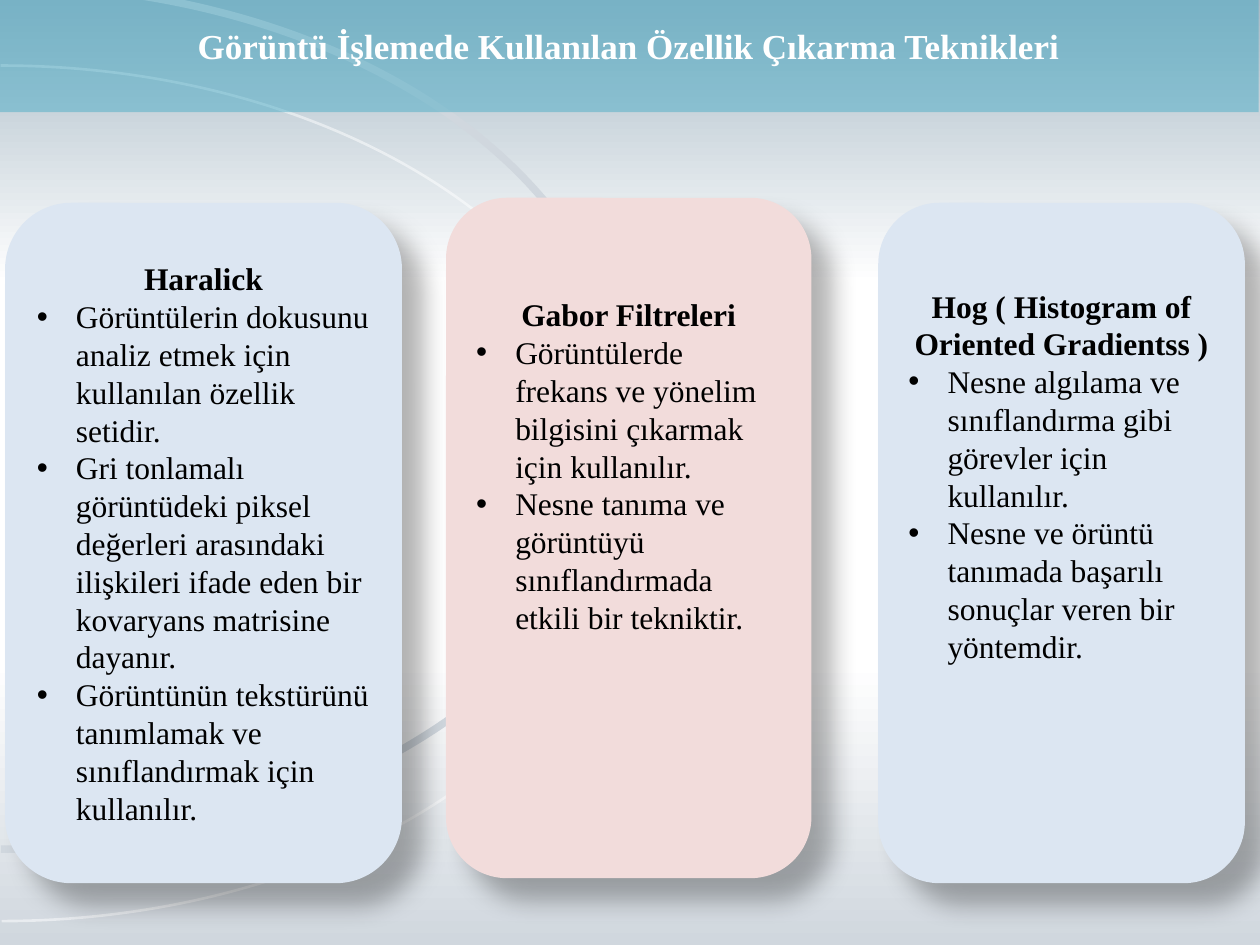
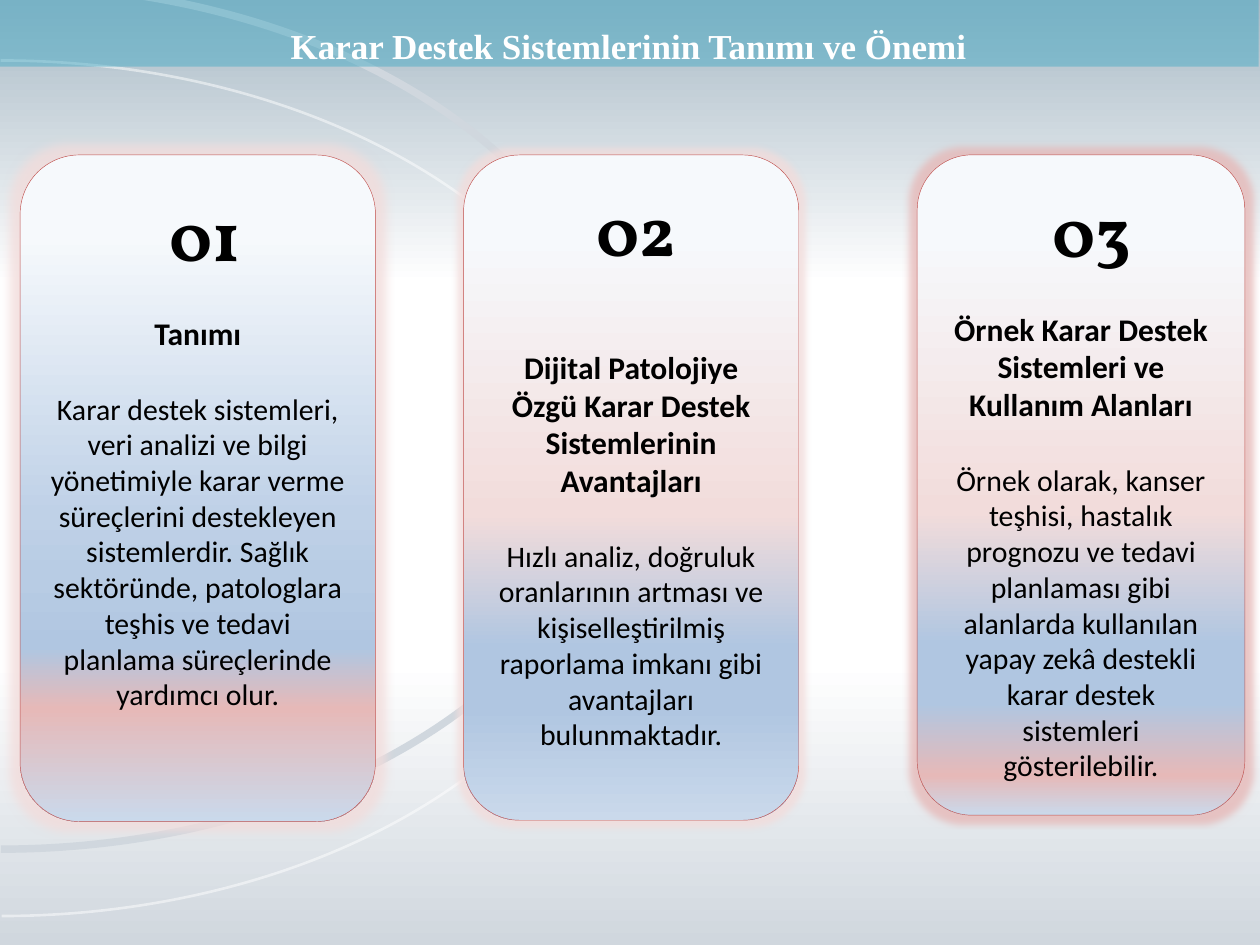
from dataclasses import dataclass

from lxml import etree
from pptx import Presentation
from pptx.dml.color import RGBColor
from pptx.enum.shapes import MSO_SHAPE
from pptx.enum.text import MSO_ANCHOR, MSO_AUTO_SIZE, PP_ALIGN
from pptx.oxml.ns import qn
from pptx.util import Inches, Pt

ARC, ROUNDED = MSO_SHAPE.ARC, MSO_SHAPE.ROUNDED_RECTANGLE
PROCESS = MSO_SHAPE.FLOWCHART_ALTERNATE_PROCESS
CENTER, LEFT = PP_ALIGN.CENTER, PP_ALIGN.LEFT
TOP, MIDDLE = MSO_ANCHOR.TOP, MSO_ANCHOR.MIDDLE
TITLE_ONLY = 5


@dataclass(frozen=True)
class Theme:
    serif: str = "Times New Roman"
    sans: str = "Calibri"
    numeral: str = "Vollkorn"
    title_size: int = 20
    heading_size: int = 18
    body_size: int = 17
    numeral_size: int = 40
    block_gap: int = 22
    white: str = "FFFFFF"
    black: str = "000000"
    band: str = "4BACC6"
    mist: str = "D0D7DE"
    slate: str = "A7B9C5"
    pale_blue: str = "DCE6F2"
    blush: str = "F2DCDB"
    frost: str = "F6F9FC"
    steel: str = "B0C6E1"
    rose: str = "E6B9B8"
    sky: str = "CAD9EB"
    outline: str = "C0504D"


THEME = Theme()
BACKDROP = [(0, THEME.mist), (30, THEME.white), (70, THEME.white), (100, THEME.slate)]

TECHNIQUES = {
    "title": "Görüntü İşlemede Kullanılan Özellik Çıkarma Teknikleri",
    "band_height": 0.91,
    "arc_top": 0.52,
    "cards": [
        dict(box=(0.04, 1.61, 3.15, 5.4), color=THEME.pale_blue, space_below=0,
             heading="Haralick",
             points=["Görüntülerin dokusunu analiz etmek için kullanılan özellik setidir.",
                     "Gri tonlamalı görüntüdeki piksel değerleri arasındaki ilişkileri "
                     "ifade eden bir kovaryans matrisine dayanır.",
                     "Görüntünün tekstürünü tanımlamak ve sınıflandırmak için kullanılır."]),
        dict(box=(3.54, 1.57, 2.9, 5.4), color=THEME.blush, space_below=1.15,
             heading="Gabor Filtreleri",
             points=["Görüntülerde frekans ve yönelim bilgisini çıkarmak için kullanılır.",
                     "Nesne tanıma ve görüntüyü sınıflandırmada etkili bir tekniktir."]),
        dict(box=(6.97, 1.61, 2.91, 5.4), color=THEME.pale_blue, space_below=1.07,
             heading="Hog ( Histogram of Oriented Gradientss )",
             points=["Nesne algılama ve sınıflandırma gibi görevler için kullanılır.",
                     "Nesne ve örüntü tanımada başarılı sonuçlar veren bir yöntemdir."]),
    ],
}

DECISION_SUPPORT = {
    "title": "Karar Destek Sistemlerinin Tanımı ve Önemi",
    "band_height": 0.55,
    "arc_top": 0.48,
    "cards": [
        dict(box=(0.16, 1.23, 2.82, 5.29), space_below=0.58, glow=(THEME.blush, 11),
             stops=[(12, THEME.frost), (54, "BFD1E7"), (63, "B8CCE4"), (74, THEME.steel),
                    (83, THEME.rose), (100, THEME.sky)],
             number="01", number_indent=0.11, gaps_above_heading=1,
             heading="Tanımı",
             body="Karar destek sistemleri, veri analizi ve bilgi yönetimiyle karar verme "
                  "süreçlerini destekleyen sistemlerdir. Sağlık sektöründe, patologlara "
                  "teşhis ve tedavi planlama süreçlerinde yardımcı olur."),
        dict(box=(3.68, 1.23, 2.66, 5.28), space_below=0.29, glow=(THEME.blush, 8),
             stops=[(12, THEME.frost), (54, THEME.blush), (74, THEME.steel),
                    (83, THEME.steel), (100, THEME.sky)],
             number="02", number_indent=0.08, gaps_above_heading=2,
             heading="Dijital Patolojiye Özgü Karar Destek Sistemlerinin Avantajları",
             body="Hızlı analiz, doğruluk oranlarının artması ve kişiselleştirilmiş "
                  "raporlama imkanı gibi avantajları bulunmaktadır."),
        dict(box=(7.28, 1.23, 2.6, 5.24), space_below=0, glow=(THEME.rose, 8),
             stops=[(12, THEME.frost), (54, THEME.blush), (74, THEME.steel),
                    (83, THEME.steel), (94, THEME.rose), (100, THEME.sky)],
             number="03", number_indent=0.17, gaps_above_heading=1,
             heading="Örnek Karar Destek Sistemleri ve Kullanım Alanları",
             body="Örnek olarak, kanser teşhisi, hastalık prognozu ve tedavi planlaması "
                  "gibi alanlarda kullanılan yapay zekâ destekli karar destek sistemleri "
                  "gösterilebilir."),
    ],
}


def rgb(color):
    return RGBColor.from_string(color)


def child(parent, tag, **attributes):
    element = etree.SubElement(parent, qn(tag))
    for key, value in attributes.items():
        element.set(key, str(value))
    return element


def add_color(parent, color, opacity=100):
    swatch = child(parent, "a:srgbClr", val=color)
    if opacity < 100:
        child(swatch, "a:alpha", val=opacity * 1000)


def set_opacity(properties, opacity):
    """Make the solid fill held by an spPr or ln element see-through."""
    swatch = properties.find(qn("a:solidFill")).find(qn("a:srgbClr"))
    child(swatch, "a:alpha", val=opacity * 1000)


def set_gradient(fill, properties, stops, angle):
    """Replace the fill in an spPr or bgPr element by a linear gradient."""
    fill.solid()
    gradient = etree.Element(qn("a:gradFill"), rotWithShape="1")
    stop_list = child(gradient, "a:gsLst")
    for position, color in stops:
        add_color(child(stop_list, "a:gs", pos=position * 1000), color)
    child(gradient, "a:lin", ang=angle * 60000, scaled=0)
    properties.replace(properties.find(qn("a:solidFill")), gradient)


def add_effect(shape, tag, color, opacity, **attributes):
    effects = shape._element.spPr.find(qn("a:effectLst"))
    add_color(child(effects, tag, **attributes), color, opacity)


def add_shape(slide, kind, box):
    shape = slide.shapes.add_shape(kind, *map(Inches, box))
    shape.shadow.inherit = False
    return shape


def add_arc(slide, box, color, width):
    arc = add_shape(slide, ARC, box)
    arc.adjustments[0], arc.adjustments[1] = 162, 53.92
    arc.fill.background()
    arc.line.color.rgb = rgb(color)
    arc.line.width = Pt(width)
    return arc


def format_paragraph(paragraph, text, font, size, color=THEME.black, bold=False, align=CENTER):
    paragraph.text = text
    paragraph.alignment = align
    for run in paragraph.runs:
        run.font.name = font
        run.font.size = Pt(size)
        run.font.bold = bold
        run.font.color.rgb = rgb(color)


def set_indent(paragraph, left, first=0):
    properties = paragraph._p.get_or_add_pPr()
    properties.set("marL", str(Inches(left)))
    properties.set("indent", str(Inches(first)))
    return properties


def start_slide(presentation, content):
    """Add a slide with the gradient backdrop, two arcs and the title band."""
    slide = presentation.slides.add_slide(presentation.slide_layouts[TITLE_ONLY])
    backdrop = slide.background.fill
    backdrop.solid()
    set_gradient(backdrop, slide._element.cSld.find(qn("p:bg")).find(qn("p:bgPr")),
                 BACKDROP, 270)

    thin_arc = add_arc(slide, (-5.01, content["arc_top"], 10.03, 6.79), THEME.white, 1.5)
    set_opacity(thin_arc._element.spPr.find(qn("a:ln")), 50)
    add_arc(slide, (-4.99, -0.12, 9.98, 6.86), THEME.mist, 4.25)

    band = slide.shapes.title
    band.left, band.top = Inches(-0.01), Inches(-0.02)
    band.width, band.height = Inches(10), Inches(content["band_height"])
    band.fill.solid()
    band.fill.fore_color.rgb = rgb(THEME.band)
    set_opacity(band._element.spPr, 50)
    frame = band.text_frame
    frame.auto_size = MSO_AUTO_SIZE.NONE
    frame.vertical_anchor = TOP
    title = frame.paragraphs[0]
    format_paragraph(title, content["title"], THEME.serif, THEME.title_size,
                     THEME.white, bold=True)
    title.line_spacing = 1.5
    slide.shapes._spTree.append(band._element)  # above the arcs
    return slide


def add_card(slide, kind, card):
    shape = add_shape(slide, kind, card["box"])
    frame = shape.text_frame
    frame.word_wrap = True
    frame.vertical_anchor = MIDDLE
    frame.margin_bottom = Inches(0.05 + card["space_below"])
    return shape


def add_technique(slide, card):
    shape = add_card(slide, ROUNDED, card)
    shape.fill.solid()
    shape.fill.fore_color.rgb = rgb(card["color"])
    shape.line.fill.background()
    add_effect(shape, "a:outerShdw", THEME.black, 30, blurRad=Pt(15), dist=Pt(18),
               dir=45 * 60000, algn="tl", rotWithShape=0)
    frame = shape.text_frame
    format_paragraph(frame.paragraphs[0], card["heading"], THEME.serif,
                     THEME.heading_size, bold=True)
    for text in card["points"]:
        point = frame.add_paragraph()
        format_paragraph(point, text, THEME.serif, THEME.heading_size, align=LEFT)
        properties = set_indent(point, 0.31, -0.31)
        child(properties, "a:buFont", typeface="Arial")
        child(properties, "a:buChar", char="•")


def add_numbered_card(slide, card):
    shape = add_card(slide, PROCESS, card)
    set_gradient(shape.fill, shape._element.spPr, card["stops"], 90)
    shape.line.color.rgb = rgb(THEME.outline)
    shape.line.width = Pt(0.25)
    glow_color, radius = card["glow"]
    add_effect(shape, "a:glow", glow_color, 80, rad=Pt(radius))

    frame = shape.text_frame
    number = frame.paragraphs[0]
    format_paragraph(number, card["number"], THEME.numeral, THEME.numeral_size, bold=True)
    set_indent(number, card["number_indent"])
    heading = frame.add_paragraph()
    format_paragraph(heading, card["heading"], THEME.sans, THEME.heading_size, bold=True)
    heading.space_before = Pt(THEME.block_gap * card["gaps_above_heading"])
    body = frame.add_paragraph()
    format_paragraph(body, card["body"], THEME.sans, THEME.body_size)
    body.space_before = Pt(THEME.block_gap)


def main():
    presentation = Presentation()
    presentation.slide_width, presentation.slide_height = Inches(10), Inches(7.5)
    for content, draw_card in ((TECHNIQUES, add_technique),
                               (DECISION_SUPPORT, add_numbered_card)):
        slide = start_slide(presentation, content)
        for card in content["cards"]:
            draw_card(slide, card)
    presentation.save("out.pptx")


if __name__ == "__main__":
    main()
